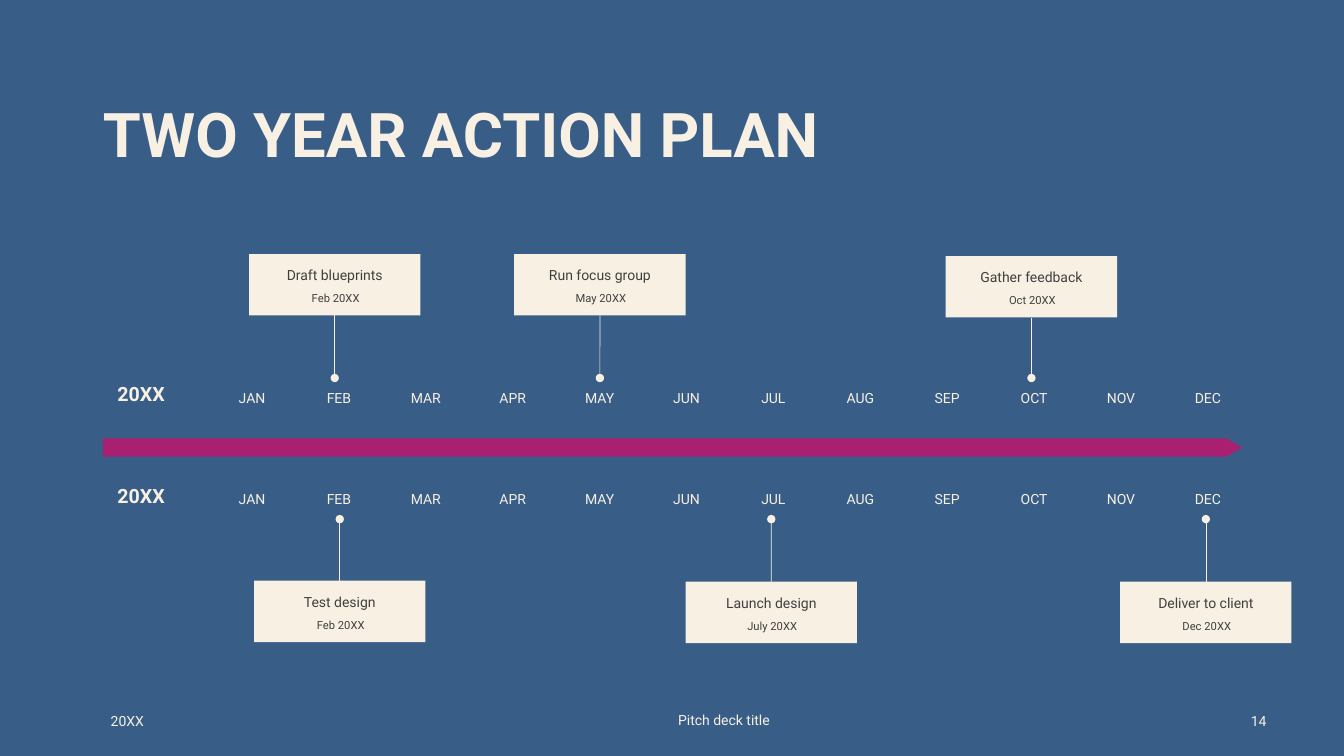
from dataclasses import dataclass

from lxml import etree
from pptx import Presentation
from pptx.dml.color import RGBColor
from pptx.enum.shapes import MSO_CONNECTOR, MSO_SHAPE
from pptx.enum.text import MSO_ANCHOR, MSO_AUTO_SIZE, PP_ALIGN
from pptx.oxml.ns import qn
from pptx.util import Inches, Pt

LEFT, CENTER, RIGHT = PP_ALIGN.LEFT, PP_ALIGN.CENTER, PP_ALIGN.RIGHT
TOP, MIDDLE = MSO_ANCHOR.TOP, MSO_ANCHOR.MIDDLE
RECTANGLE, ARROW = MSO_SHAPE.RECTANGLE, MSO_SHAPE.RIGHT_ARROW
STRAIGHT = MSO_CONNECTOR.STRAIGHT
NO_FIT = MSO_AUTO_SIZE.NONE
TOP_SITE, BOTTOM_SITE = 0, 2


@dataclass(frozen=True)
class Theme:
    font: str = "Roboto"
    background: RGBColor = RGBColor.from_string("385E88")
    cream: RGBColor = RGBColor.from_string("F8F0E3")
    magenta: RGBColor = RGBColor.from_string("AA2070")
    ink: RGBColor = RGBColor.from_string("404040")
    title: int = 44
    year: int = 14
    label: int = 10
    date: int = 8
    stem: float = 0.5


THEME = Theme()
SLIDE_W, SLIDE_H = 13.33, 7.5
MONTHS = "JAN FEB MAR APR MAY JUN JUL AUG SEP OCT NOV DEC".split()
CARD_W, CARD_H = 1.7, 0.61

# Each year: top of the month row, height of the stem dots,
# side of the card its stem leaves from, and cards as (left, top, task, date)
YEARS = [
    (3.83, 3.75, BOTTOM_SITE, [
        (2.47, 2.52, "Draft blueprints", "Feb 20XX"),
        (5.1, 2.52, "Run focus group", "May 20XX"),
        (9.38, 2.54, "Gather feedback", "Oct 20XX"),
    ]),
    (4.84, 5.15, TOP_SITE, [
        (2.52, 5.76, "Test design", "Feb 20XX"),
        (6.8, 5.77, "Launch design", "July 20XX"),
        (11.11, 5.77, "Deliver to client", "Dec 20XX"),
    ]),
]
FOOTER = [
    ((1, 6.95, 1.2, 0.4), "20XX", LEFT),
    ((5.93, 6.94, 2.5, 0.4), "Pitch deck title", CENTER),
    ((12.16, 6.95, 0.5, 0.4), "14", RIGHT),
]


def inches(box):
    return [Inches(length) for length in box]


def apply(target, values):
    for name, value in values.items():
        setattr(target, name, value)


def write(holder, text, size, color=THEME.cream, align=CENTER, anchor=TOP,
          spacing=0.9, bold=False, inset=0.05):
    frame = holder.text_frame
    frame.text = text
    paragraph = frame.paragraphs[0]
    apply(frame, {"word_wrap": True, "auto_size": NO_FIT,
                  "vertical_anchor": anchor, "margin_top": Inches(inset)})
    apply(paragraph, {"alignment": align, "line_spacing": spacing,
                      "space_before": Pt(0)})
    font = paragraph.runs[0].font
    apply(font, {"name": THEME.font, "size": Pt(size), "bold": bold})
    font.color.rgb = color


def add_label(slide, box, text, size, **style):
    write(slide.shapes.add_textbox(*inches(box)), text, size, **style)


def add_block(slide, preset, box, color):
    block = slide.shapes.add_shape(preset, *inches(box))
    block.shadow.inherit = False
    block.fill.solid()
    block.fill.fore_color.rgb = color
    block.line.fill.background()
    return block


def add_title(slide, box, text):
    title = slide.shapes.title
    apply(title, dict(zip(("left", "top", "width", "height"), inches(box))))
    write(title, text, THEME.title, align=LEFT, bold=True)


def add_arrow(slide, box):
    arrow = add_block(slide, ARROW, box, THEME.magenta)
    arrow.adjustments[0] = 1
    arrow.adjustments[1] = 0.859


def add_month_row(slide, box):
    left, top, width, height = box
    label_w = 0.7
    step = (width - label_w) / (len(MONTHS) - 1)
    add_label(slide, (left - 1.15, top - 0.16, 0.8, 0.5), "20XX", THEME.year,
              anchor=MIDDLE, bold=True)
    for column, month in enumerate(MONTHS):
        add_label(slide, (left + column * step, top, label_w, height),
                  month, THEME.label)


def add_milestone(slide, box, task, date, side, dot_y):
    left, top, width, height = box
    card = add_block(slide, RECTANGLE, box, THEME.cream)
    write(card, task, THEME.label, color=THEME.ink, spacing=1.5, inset=0.04)
    add_label(slide, (left + 0.06, top + 0.34, width - 0.1, 0.25),
              date, THEME.date, color=THEME.ink)

    # Stem from the card to a dot beside its month
    middle = left + width / 2
    edge = top + height if side == BOTTOM_SITE else top
    stem = slide.shapes.add_connector(
        STRAIGHT, *inches((middle, edge, middle, dot_y)))
    stem.begin_connect(card, side)
    stem.line.color.rgb = THEME.cream
    stem.line.width = Pt(THEME.stem)
    etree.SubElement(stem.line._get_or_add_ln(), qn("a:tailEnd"), type="oval")
    etree.SubElement(stem._element.spPr, qn("a:effectLst"))


def add_footer(slide):
    for box, text, align in FOOTER:
        add_label(slide, box, text, THEME.label, align=align, anchor=MIDDLE,
                  spacing=1.0)


def main():
    deck = Presentation()
    deck.slide_width, deck.slide_height = inches((SLIDE_W, SLIDE_H))
    slide = deck.slides.add_slide(deck.slide_layouts[5])
    slide.background.fill.solid()
    slide.background.fill.fore_color.rgb = THEME.background

    add_title(slide, (0.92, 0.98, 11.5, 1.45), "TWO YEAR ACTION PLAN")
    add_arrow(slide, (1.02, 4.35, 11.3, 0.18))
    for row_top, dot_y, side, milestones in YEARS:
        add_month_row(slide, (2.15, row_top, 10.18, 0.22))
        for left, top, task, date in milestones:
            add_milestone(slide, (left, top, CARD_W, CARD_H),
                          task, date, side, dot_y)
    add_footer(slide)
    deck.save("out.pptx")


if __name__ == "__main__":
    main()
